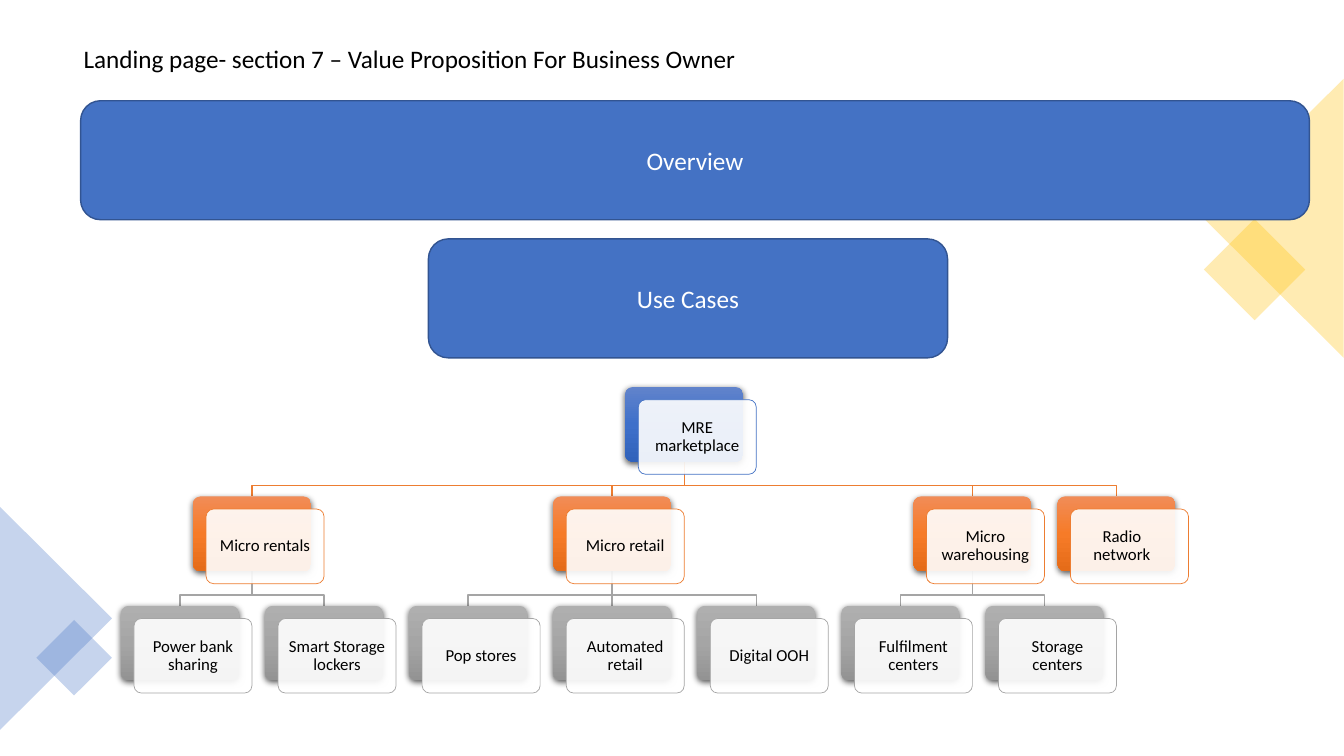
import copy

import pptx
import pptx.dml.color
import pptx.enum.shapes
import pptx.enum.text
import pptx.oxml
import pptx.oxml.ns
import pptx.util

KIND = pptx.enum.shapes.MSO_SHAPE
ALIGN = pptx.enum.text.PP_ALIGN
MIDDLE = pptx.enum.text.MSO_ANCHOR.MIDDLE
TAG = pptx.oxml.ns.qn
SPACE = pptx.oxml.ns.nsdecls("a")

WIDE, HIGH = pptx.util.Inches(13.333), pptx.util.Inches(7.5)

COLORS = {
    "black": "000000", "white": "FFFFFF", "gold": "FFC000",
    "blue": "4472C4", "navy": "325491", "orange": "ED7D31", "gray": "A5A5A5",
    "blue top": "6183CB", "blue mid": "3E70CA", "blue end": "3062BB",
    "orange top": "F18C57", "orange mid": "F67B28", "orange end": "E56C19",
    "gray top": "AFAFAF", "gray mid": "A5A5A5", "gray end": "939393",
}

# Tree grid, in percent of the slide's width and height
LEFT, TOP = 9, 51.2
COL, ROW = 10.72, 14.47
CARD_W, CARD_H = 8.78, 9.87
SHIFT_X, SHIFT_Y = 0.97, 1.67
HUES = ("blue", "orange", "gray")  # one for each level

# Each node: text, column, children
TREE = ("MRE marketplace", 3.5, [
    ("Micro rentals", 0.5, [
        ("Power bank sharing", 0, []), ("Smart Storage lockers", 1, [])]),
    ("Micro retail", 3, [
        ("Pop stores", 2, []), ("Automated retail", 3, []), ("Digital OOH", 4, [])]),
    ("Micro warehousing", 5.5, [
        ("Fulfilment centers", 5, []), ("Storage centers", 6, [])]),
    ("Radio network", 6.5, []),
])
TIGHT = {"Radio network": 0.22}  # wider right margin, in inches

# Corner decor: kind, box in percent, turn, color
DECOR = [
    (KIND.RECTANGLE, (90.68, 30.93, 5.33, 9.47), 45, "gold"),
    (KIND.ISOSCELES_TRIANGLE, (84.38, 19.6, 20.78, 18.53), 270, "gold"),
    (KIND.ISOSCELES_TRIANGLE, (-4.12, 74.4, 16.58, 14.8), 90, "blue"),
    (KIND.RECTANGLE, (3.53, 83.47, 3.97, 7.07), 45, "blue"),
]
BANNERS = [
    ("Overview", (6, 13.33, 91.43, 15.73)),
    ("Use Cases", (31.88, 31.6, 38.63, 15.73)),
]


def rgb(name):
    return pptx.dml.color.RGBColor.from_string(COLORS[name])


def style(item, values):
    for key, value in values.items():
        setattr(item, key, value)


def point(x, y):
    return int(WIDE * x / 100), int(HIGH * y / 100)


def write(shape, text, size, color, align, space=1.0, inset=None, right=None):
    frame = shape.text_frame
    style(frame, {"word_wrap": True, "vertical_anchor": MIDDLE})
    if inset:
        pad = pptx.util.Inches(inset)
        style(frame, {"margin_left": pad, "margin_top": pad, "margin_bottom": pad,
                      "margin_right": pptx.util.Inches(right or inset)})
    para = frame.paragraphs[0]
    style(para, {"text": text, "alignment": align, "line_spacing": space})
    style(para.runs[0].font, {"name": "Calibri", "size": pptx.util.Pt(size)})
    para.runs[0].font.color.rgb = rgb(color)


def outline(shape, color, width):
    shape.line.color.rgb = rgb(color)
    shape.line.width = pptx.util.Pt(width)


def block(slide, kind, box, fill=None, clear=None, line=None, width=1):
    x, y, w, h = box
    shape = slide.shapes.add_shape(kind, *point(x, y), *point(w, h))
    shape.shadow.inherit = False
    if fill:
        shape.fill.solid()
        shape.fill.fore_color.rgb = rgb(fill)
    if clear:
        paint = shape._element.spPr.find(".//" + TAG("a:srgbClr"))
        paint.append(pptx.oxml.parse_xml(f'<a:alpha {SPACE} val="{clear * 1000}"/>'))
    if line:
        outline(shape, line, width)
    else:
        shape.line.fill.background()
    return shape


def shade(shape, hue):
    """Three-stop gradient running down, with a soft drop shadow."""
    shape.fill.gradient()
    shape.fill.gradient_angle = 270
    stops = shape._element.spPr.find(".//" + TAG("a:gsLst"))
    stops.insert(1, copy.deepcopy(stops[0]))
    for stop, place, part in zip(shape.fill.gradient_stops, (0, 0.5, 1),
                                 ("top", "mid", "end")):
        stop.position = place
        stop.color.rgb = rgb(f"{hue} {part}")
    shape._element.spPr.find(TAG("a:effectLst")).append(pptx.oxml.parse_xml(
        f'<a:outerShdw {SPACE} blurRad="57150" dist="19050" '
        f'dir="5400000" algn="ctr" rotWithShape="0"><a:srgbClr val="{COLORS["black"]}">'
        '<a:alpha val="63000"/></a:srgbClr></a:outerShdw>'))


def corner(col, level):
    return LEFT + col * COL, TOP + level * ROW


def link(slide, start, end, level):
    """Line from the foot of one card to the head of a lower one."""
    x, y = corner(start, level)
    x, y = x + CARD_W / 2, y + CARD_H
    last, foot = corner(end, level + 1)
    last += CARD_W / 2
    if start == end:
        line = slide.shapes.add_connector(
            pptx.enum.shapes.MSO_CONNECTOR.STRAIGHT, *point(x, y), *point(last, foot))
    else:
        bend = foot - SHIFT_Y * 0.85
        path = slide.shapes.build_freeform(*point(x, y))
        path.add_line_segments(
            [point(x, bend), point(last, bend), point(last, foot)], close=False)
        line = path.convert_to_shape()
        line.fill.background()
    outline(line, HUES[level + 1], 1)
    line._element.spPr.append(pptx.oxml.parse_xml(f"<a:effectLst {SPACE}/>"))


def links(slide, node, level=0):
    for kid in reversed(node[2]):
        link(slide, node[1], kid[1], level)
        links(slide, kid, level + 1)


def cards(slide, node, level=0):
    text, col, kids = node
    x, y = corner(col, level)
    back = block(slide, KIND.ROUNDED_RECTANGLE, (x, y, CARD_W, CARD_H))
    shade(back, HUES[level])
    front = block(slide, KIND.ROUNDED_RECTANGLE,
                  (x + SHIFT_X, y + SHIFT_Y, CARD_W, CARD_H),
                  "white", 90, HUES[level], 0.5)
    for card in (back, front):
        card.adjustments[0] = 0.1
    write(front, text, 12, "black", ALIGN.CENTER, 0.9, 0.07, TIGHT.get(text))
    for kid in kids:
        cards(slide, kid, level + 1)


def title(slide, text):
    box = slide.shapes.add_textbox(*point(5.48, 4.67), *point(52.88, 6.53))
    write(box, text, 18, "black", ALIGN.LEFT, 0.9)
    box.text_frame.paragraphs[0].space_after = pptx.util.Pt(6)


def main():
    deck = pptx.Presentation()
    style(deck, {"slide_width": WIDE, "slide_height": HIGH})
    slide = deck.slides.add_slide(deck.slide_layouts[6])

    # Heading and corner decor
    title(slide, "Landing page- section 7 – Value Proposition For Business Owner")
    for kind, box, turn, color in DECOR:
        block(slide, kind, box, color, 30).rotation = turn

    # Tree of use cases
    links(slide, TREE)
    cards(slide, TREE)

    # Banners
    for text, box in BANNERS:
        shape = block(slide, KIND.ROUNDED_RECTANGLE, box, "blue", line="navy")
        write(shape, text, 18, "white", ALIGN.CENTER)

    deck.save("out.pptx")


if __name__ == "__main__":
    main()
